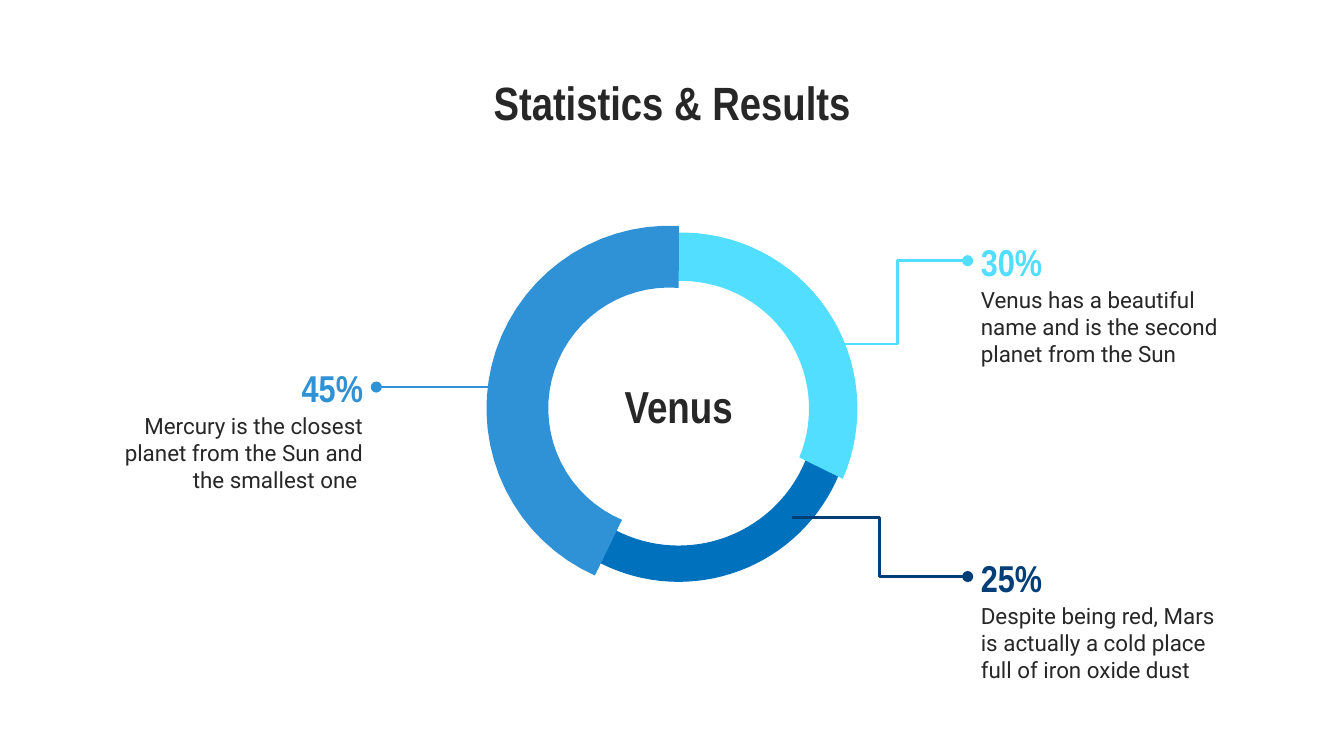
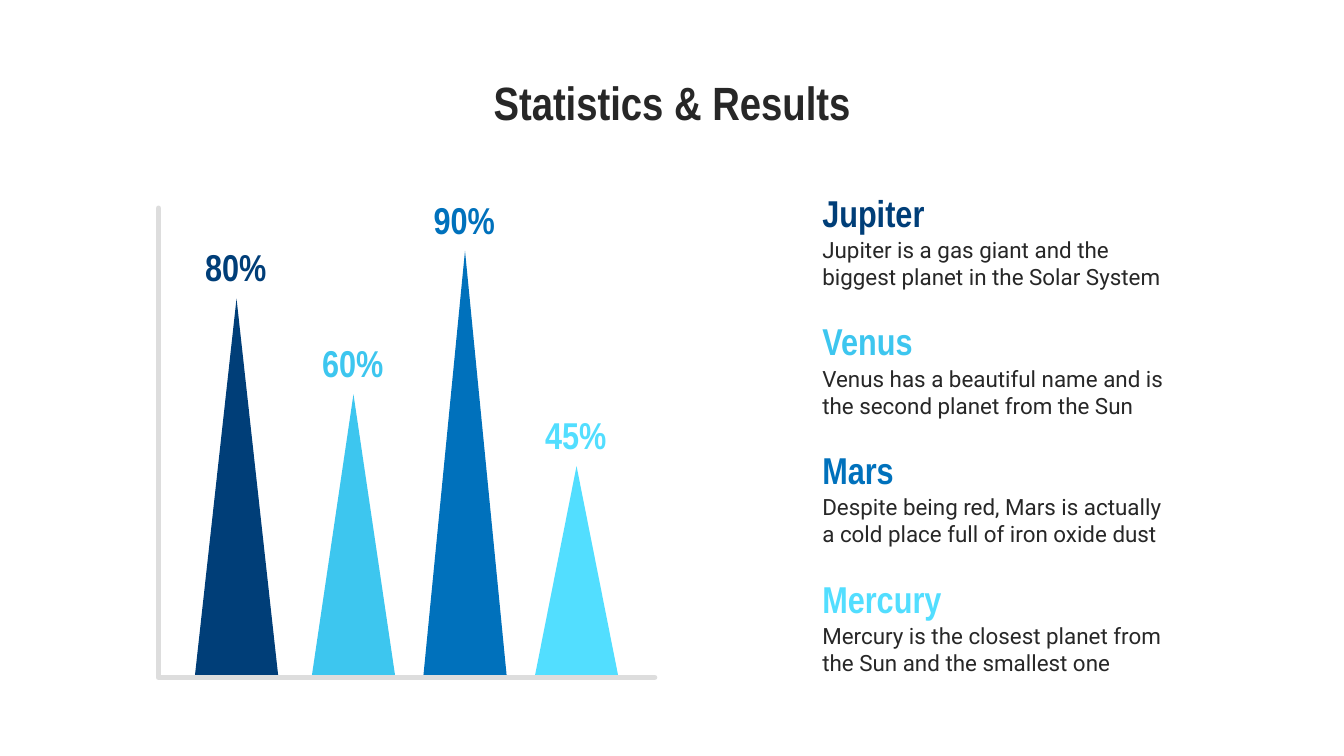
from math import cos, radians, sin

from lxml import etree
from pptx import Presentation, util as u
from pptx.dml.color import RGBColor
from pptx.enum import shapes, text
from pptx.oxml.ns import qn

HEADING, BODY = "Arial Narrow", "Roboto"
INK, NAVY, BLUE, AZURE = "272727", "003E78", "0071BC", "2F91D6"
SKY, CYAN, GREY = "3DC6EF", "52DEFF", "DDDDDD"
LEFT, CENTER, RIGHT = text.PP_ALIGN.LEFT, text.PP_ALIGN.CENTER, text.PP_ALIGN.RIGHT
TOP, MIDDLE = text.MSO_ANCHOR.TOP, text.MSO_ANCHOR.MIDDLE

MERCURY = "Mercury is the closest planet from the Sun and the smallest one"
VENUS = "Venus has a beautiful name and is the second planet from the Sun"
MARS = "Despite being red, Mars is actually a cold place full of iron oxide dust"
JUPITER = "Jupiter is a gas giant and the biggest planet in the Solar System"


def color(value):
    return RGBColor.from_string(value)


def inches(*lengths):
    return [u.Inches(length) for length in lengths]


def add_text(slide, words, box, size, hue=INK, font=HEADING, align=LEFT, anchor=TOP):
    label = slide.shapes.add_textbox(*inches(*box))
    frame = label.text_frame
    frame.word_wrap = True
    frame.vertical_anchor = anchor
    frame.margin_left = frame.margin_right = u.Inches(0.1)
    frame.margin_top = frame.margin_bottom = u.Inches(0.1)
    paragraph = frame.paragraphs[0]
    paragraph.text = words
    paragraph.alignment = align
    paragraph.font.name = font
    paragraph.font.size = u.Pt(size)
    paragraph.font.bold = font == HEADING
    paragraph.font.color.rgb = color(hue)
    return label


def add_body(slide, words, box, align=LEFT, anchor=TOP):
    return add_text(slide, words, box, 12, INK, BODY, align, anchor)


def fill_plain(shape, hue):
    shape.shadow.inherit = False
    shape.fill.solid()
    shape.fill.fore_color.rgb = color(hue)
    shape.line.fill.background()


def add_outline(slide, points, close):
    start, *rest = [inches(*point) for point in points]
    builder = slide.shapes.build_freeform(*start, scale=1.0)
    builder.add_line_segments(rest, close=close)
    return builder.convert_to_shape()


def arc(center, radius, start, end, steps=32):
    """Points on a circle; angles in degrees, clockwise from the top."""
    x, y = center
    angles = [radians(start + (end - start) * i / steps) for i in range(steps + 1)]
    return [(x + radius * sin(a), y - radius * cos(a)) for a in angles]


def add_ring_part(slide, hue, center, outer, inner):
    """Draw a ring part; outer and inner are (radius, start, end)."""
    points = arc(center, *outer) + arc(center, *inner)[::-1]
    fill_plain(add_outline(slide, points, close=True), hue)


def add_pointer(slide, hue, kind, start, target, side):
    """Lead from the ring to the side of a percentage, ending in a dot."""
    pointer = slide.shapes.add_connector(kind, *inches(*start, *start))
    pointer.end_connect(target, side)
    pointer.line.color.rgb = color(hue)
    pointer.line.width = u.Pt(1.5)
    properties = pointer._element.spPr
    etree.SubElement(properties.get_or_add_ln(), qn("a:tailEnd"), type="oval")
    etree.SubElement(properties, qn("a:effectLst"))


def add_axes(slide):
    axes = add_outline(slide, [(1.18, 1.55), (1.18, 5.04), (4.87, 5.04)], close=False)
    axes.shadow.inherit = False
    axes.fill.background()
    axes.line.color.rgb = color(GREY)
    axes.line.width = u.Pt(3)
    stroke = axes._element.spPr.get_or_add_ln()
    stroke.set("cap", "rnd")
    etree.SubElement(stroke, qn("a:round"))


def add_peak(slide, percent, middle, hue):
    width, base = 0.62, 5.03
    height = 3.56 * percent / 100 - 0.04
    peak = slide.shapes.add_shape(
        shapes.MSO_SHAPE.ISOSCELES_TRIANGLE,
        *inches(middle - width / 2, base - height, width, height))
    fill_plain(peak, hue)
    add_text(slide, f"{percent}%", (middle - 0.47, base - height - 0.47, 0.93, 0.47),
             20, hue, align=CENTER, anchor=MIDDLE)


def add_titled_slide(deck):
    slide = deck.slides.add_slide(deck.slide_layouts[6])
    add_text(slide, "Statistics & Results", (0.5, 0.45, 9, 0.54), 25, align=CENTER)
    return slide


def add_ring_slide(deck):
    slide = add_titled_slide(deck)
    add_ring_part(slide, BLUE, (5.05, 3.04), (1.29, 112, 207), (1.02, 111, 207.5))
    add_ring_part(slide, CYAN, (5.07, 3.04), (1.31, -2, 113.5), (0.95, -3, 112.5))
    add_ring_part(slide, AZURE, (4.98, 3.04), (1.36, 204, 363), (0.9, 203, 364.5))
    add_text(slide, "Venus", (4.21, 2.72, 1.68, 0.52), 24, align=CENTER)

    straight, elbow = shapes.MSO_CONNECTOR.STRAIGHT, shapes.MSO_CONNECTOR.ELBOW
    callouts = [
        ("45%", AZURE, MERCURY + " ", 0.74, 2.62, RIGHT, straight, (3.97, 2.88), 3),
        ("30%", CYAN, VENUS, 7.2, 1.68, LEFT, elbow, (6.16, 2.56), 1),
        ("25%", NAVY, MARS, 7.2, 4.03, LEFT, elbow, (5.89, 3.85), 1),
    ]
    for share, hue, words, left, top, align, kind, start, side in callouts:
        target = add_text(slide, share, (left, top, 2.06, 0.52), 20, hue, align=align)
        add_body(slide, words, (left, top + 0.35, 2.06, 0.79), align)
        add_pointer(slide, hue, kind, start, target, side)


def add_peaks_slide(deck):
    slide = add_titled_slide(deck)
    planets = [
        ("Jupiter", JUPITER, NAVY, 80, 1.76),
        ("Venus", VENUS, SKY, 60, 2.63),
        ("Mars", MARS, BLUE, 90, 3.46),
        ("Mercury", MERCURY, CYAN, 45, 4.29),
    ]
    for row, (planet, words, hue, percent, middle) in enumerate(planets):
        add_peak(slide, percent, middle, hue)
        top = 1.37 + row * 2.87 / 3
        add_text(slide, planet, (6.02, top, 1.5, 0.42), 20, hue, anchor=MIDDLE)
        add_body(slide, words, (6.02, top + 0.32, 2.79, 0.54), anchor=MIDDLE)
    add_axes(slide)


def main():
    deck = Presentation()
    deck.slide_width = u.Inches(10)
    deck.slide_height = deck.slide_width * 9 // 16
    add_ring_slide(deck)
    add_peaks_slide(deck)
    deck.save("out.pptx")


if __name__ == "__main__":
    main()
